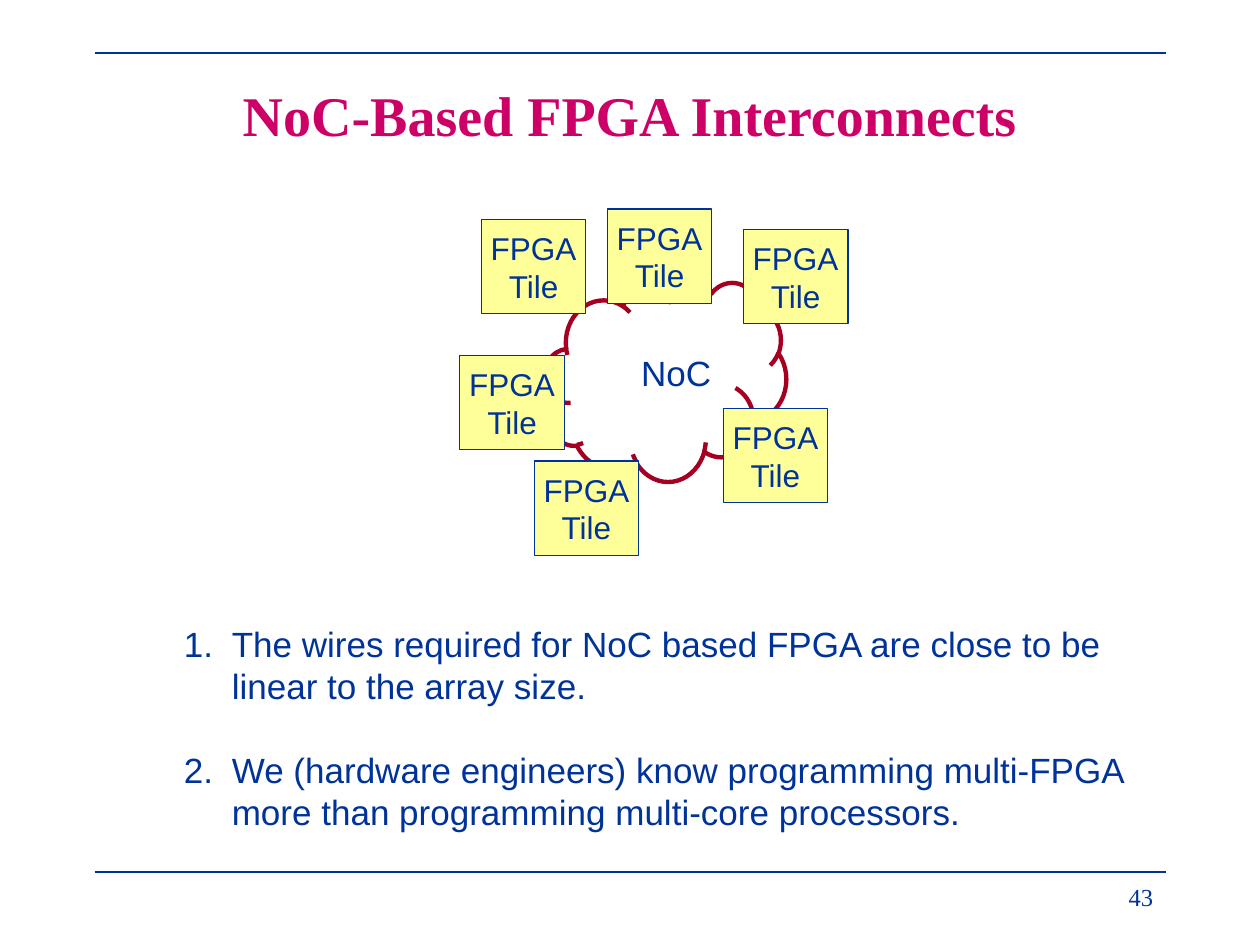
"""Build the slide on NoC-based FPGA interconnects."""
from dataclasses import dataclass

from lxml import etree
from pptx import Presentation
from pptx.dml.color import RGBColor
from pptx.enum.shapes import MSO_CONNECTOR, MSO_SHAPE
from pptx.enum.text import MSO_ANCHOR, MSO_AUTO_SIZE, PP_ALIGN
from pptx.oxml.ns import qn
from pptx.util import Inches, Pt

STRAIGHT = MSO_CONNECTOR.STRAIGHT
RECTANGLE, CLOUD = MSO_SHAPE.RECTANGLE, MSO_SHAPE.CLOUD_CALLOUT
TOP, MIDDLE = MSO_ANCHOR.TOP, MSO_ANCHOR.MIDDLE
LEFT, CENTER, RIGHT = PP_ALIGN.LEFT, PP_ALIGN.CENTER, PP_ALIGN.RIGHT
NO_RESIZE = MSO_AUTO_SIZE.NONE


@dataclass(frozen=True)
class Theme:
    ink: RGBColor = RGBColor.from_string("003399")
    accent: RGBColor = RGBColor.from_string("CC0066")
    cloud: RGBColor = RGBColor.from_string("A50021")
    tile: RGBColor = RGBColor.from_string("FFFF99")
    sans: str = "Arial"
    serif: str = "Times New Roman"
    title_size: int = 32
    body_size: int = 20
    tile_size: int = 18
    number_size: int = 14
    thin: float = 0.75
    thick: float = 2.5


THEME = Theme()
WIDTH, HEIGHT, MARGIN = 10, 7.5, 0.75
CONTENT_WIDTH = WIDTH - 2 * MARGIN
RULE_TOPS = (0.42, 6.92)

TITLE = "NoC-Based FPGA Interconnects"
HUB = "NoC"
TILE_LINES = ("FPGA", "Tile")
TILE_SIZE = (0.83, 0.75)
TILE_CORNERS = ((3.82, 1.74), (4.82, 1.66), (4.24, 3.66),
                (5.74, 3.24), (3.65, 2.82), (5.9, 1.82))
CLOUD_BOX = (4.32, 2.24, 1.92, 1.58)
CLOUD_TAIL = (-0.6, 0.24)
POINTS = (
    "The wires required for NoC based FPGA are close to be linear to the array size.",
    "We (hardware engineers) know programming multi-FPGA more than programming multi-core processors.",
)
POINT_INDENT = 0.38
SLIDE_NUMBER = "43"


def inches(*lengths):
    return [Inches(length) for length in lengths]


def place(shape, *box):
    shape.left, shape.top, shape.width, shape.height = inches(*box)


def write(shape, lines, size, font=THEME.sans, color=THEME.ink, align=LEFT,
          anchor=TOP, wrap=True, bold=False, gap=0, numbered=False):
    frame = shape.text_frame
    frame.auto_size = NO_RESIZE
    frame.word_wrap = wrap
    frame.vertical_anchor = anchor
    for index, line in enumerate(lines):
        paragraph = frame.add_paragraph() if index else frame.paragraphs[0]
        paragraph.alignment = align
        paragraph.space_before = Pt(gap if index else 0)
        if numbered:
            number(paragraph)
        run = paragraph.add_run()
        run.text = line
        run.font.name = font
        run.font.size = Pt(size)
        run.font.bold = bold
        run.font.color.rgb = color


def number(paragraph):
    properties = paragraph._p.get_or_add_pPr()
    properties.set("marL", str(Inches(POINT_INDENT)))
    properties.set("indent", str(-Inches(POINT_INDENT)))
    etree.SubElement(properties, qn("a:buFont"), typeface="+mj-lt")
    etree.SubElement(properties, qn("a:buAutoNum"), type="arabicPeriod")


def add_rule(slide, top):
    rule = slide.shapes.add_connector(
        STRAIGHT, *inches(MARGIN, top, WIDTH - MARGIN, top))
    rule.line.color.rgb = THEME.ink
    rule.line.width = Pt(THEME.thin)
    etree.SubElement(rule._element.spPr, qn("a:effectLst"))


def add_outline(slide, kind, box, color, width):
    shape = slide.shapes.add_shape(kind, *inches(*box))
    shape.shadow.inherit = False
    shape.fill.background()
    shape.line.color.rgb = color
    shape.line.width = Pt(width)
    return shape


def add_network(slide):
    cloud = add_outline(slide, CLOUD, CLOUD_BOX, THEME.cloud, THEME.thick)
    for index, value in enumerate(CLOUD_TAIL):
        cloud.adjustments[index] = value
    hub = slide.shapes.add_textbox(*inches(4.99, 2.74, 0.76, 0.43))
    write(hub, [HUB], THEME.body_size, wrap=False)
    for corner in TILE_CORNERS:
        tile = add_outline(slide, RECTANGLE, corner + TILE_SIZE, THEME.ink, THEME.thin)
        tile.fill.solid()
        tile.fill.fore_color.rgb = THEME.tile
        write(tile, TILE_LINES, THEME.tile_size, align=CENTER, anchor=MIDDLE, wrap=False)


def main():
    presentation = Presentation()
    presentation.slide_width, presentation.slide_height = inches(WIDTH, HEIGHT)
    slide = presentation.slides.add_slide(presentation.slide_layouts[1])
    for top in RULE_TOPS:
        add_rule(slide, top)

    title, body = slide.placeholders
    place(title, MARGIN, 0.28, CONTENT_WIDTH, 1.25)
    write(title, [TITLE], THEME.title_size, THEME.serif, THEME.accent,
          CENTER, MIDDLE, bold=True)
    add_network(slide)
    place(body, 1.36, 4.89, 8.17, 1.77)
    write(body, POINTS, THEME.body_size, gap=1.2 * THEME.body_size, numbered=True)

    page = slide.shapes.add_textbox(*inches(7.17, 6.95, 2.08, 0.39))
    write(page, [SLIDE_NUMBER], THEME.number_size, THEME.serif, align=RIGHT)
    presentation.save("out.pptx")


if __name__ == "__main__":
    main()
